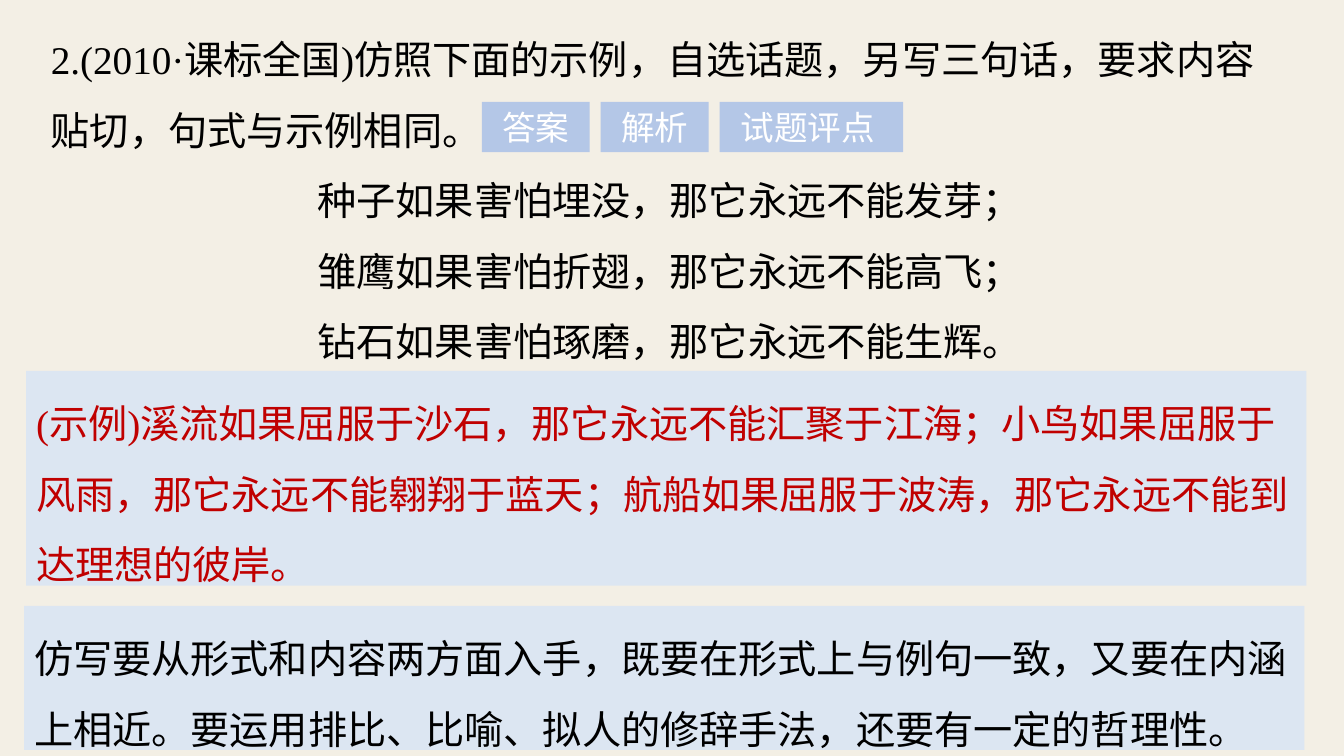
"""Build a Chinese sentence-imitation exercise slide with answer and analysis panels."""
from pptx import Presentation
from pptx.dml.color import RGBColor
from pptx.enum.shapes import MSO_SHAPE
from pptx.enum.text import MSO_ANCHOR, MSO_AUTO_SIZE, PP_ALIGN
from pptx.util import Pt

CREAM = RGBColor(0xF3, 0xEF, 0xE5)
TAB_BLUE = RGBColor(0xB4, 0xC7, 0xE7)
PANEL_BLUE = RGBColor(0xDC, 0xE6, 0xF2)
BLACK = RGBColor(0, 0, 0)
WHITE = RGBColor(0xFF, 0xFF, 0xFF)
RED = RGBColor(0xC0, 0, 0)

QUESTION = "2.(2010·课标全国)仿照下面的示例，自选话题，另写三句话，要求内容贴切，句式与示例相同。"
EXAMPLES = [
    "种子如果害怕埋没，那它永远不能发芽；",
    "雏鹰如果害怕折翅，那它永远不能高飞；",
    "钻石如果害怕琢磨，那它永远不能生辉。",
]
TABS = [("答案", 77.04), ("解析", 77.04), ("试题评点 ", 131.04)]
TAB_LEFT, TAB_TOP, TAB_HEIGHT, TAB_GAP = 344.16, 72.72, 36, 7.92
PANELS = [
    ("(示例)溪流如果屈服于沙石，那它永远不能汇聚于江海；小鸟如果屈服于风雨，"
     "那它永远不能翱翔于蓝天；航船如果屈服于波涛，那它永远不能到达理想的彼岸。",
     RED, (18.72, 264.96, 914.4, 153.36)),
    ("仿写要从形式和内容两方面入手，既要在形式上与例句一致，又要在内涵上相近。"
     "要运用排比、比喻、拟人的修辞手法，还要有一定的哲理性。",
     BLACK, (17.28, 432.72, 914.4, 102.96)),
]


def write(p, text, color, align=PP_ALIGN.LEFT, size=28, font="Times New Roman", spacing=1.5):
    p.text = text
    p.alignment = align
    p.line_spacing = spacing
    p.font.name = font
    p.font.size = Pt(size)
    p.font.color.rgb = color


def add_block(s, box, fill):
    sp = s.shapes.add_shape(MSO_SHAPE.RECTANGLE, *map(Pt, box))
    sp.shadow.inherit = False
    sp.fill.solid()
    sp.fill.fore_color.rgb = fill
    sp.line.fill.background()
    tf = sp.text_frame
    tf.word_wrap = True
    tf.auto_size = MSO_AUTO_SIZE.SHAPE_TO_FIT_TEXT
    tf.vertical_anchor = MSO_ANCHOR.TOP
    return tf.paragraphs[0]


def add_question(s):
    tf = s.shapes.add_textbox(Pt(26.64), Pt(3.6), Pt(903.6), Pt(257.76)).text_frame
    tf.word_wrap = True
    tf.auto_size = MSO_AUTO_SIZE.SHAPE_TO_FIT_TEXT
    tf.margin_left = tf.margin_right = Pt(9.6)
    tf.margin_top = tf.margin_bottom = Pt(4.8)
    write(tf.paragraphs[0], QUESTION, BLACK)
    for example in EXAMPLES:
        write(tf.add_paragraph(), example, BLACK, PP_ALIGN.CENTER)


def main():
    prs = Presentation()
    prs.slide_width, prs.slide_height = Pt(960), Pt(540)
    s = prs.slides.add_slide(prs.slide_layouts[6])
    s.background.fill.solid()
    s.background.fill.fore_color.rgb = CREAM

    add_question(s)
    left = TAB_LEFT
    for label, width in TABS:
        p = add_block(s, (left, TAB_TOP, width, TAB_HEIGHT), TAB_BLUE)
        write(p, label, WHITE, PP_ALIGN.CENTER, 24, "Arial", 1.0)
        left += width + TAB_GAP
    for text, color, box in PANELS:
        write(add_block(s, box, PANEL_BLUE), text, color)

    prs.save("out.pptx")


if __name__ == "__main__":
    main()
